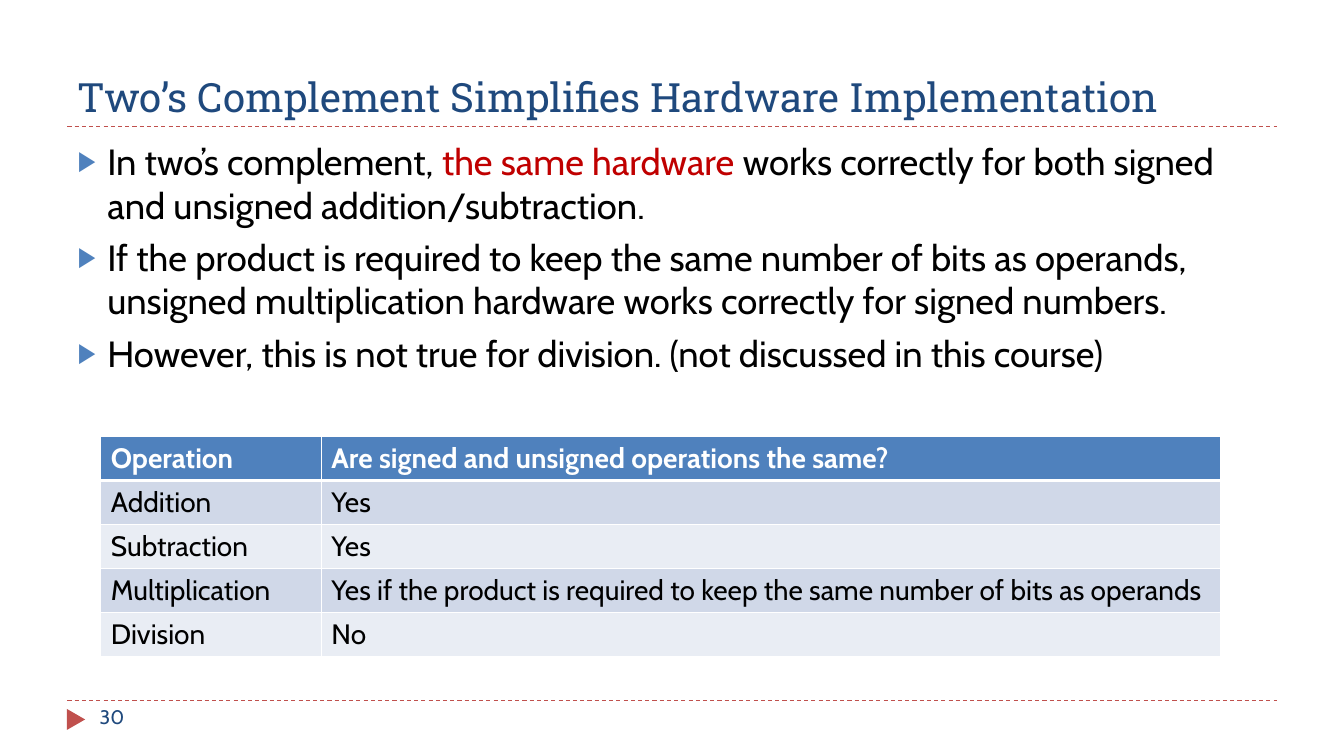
from dataclasses import dataclass

from lxml import etree
from pptx import Presentation
from pptx.dml.color import RGBColor
from pptx.enum import dml, shapes, text
from pptx.oxml import ns
from pptx.util import Cm, Pt


@dataclass(frozen=True)
class Theme:
    heading_font: str = "Roboto Slab"
    body_font: str = "Cabin"
    navy: str = "1F497D"
    blue: str = "4F81BD"
    red: str = "C0504D"
    emphasis: str = "C00000"
    black: str = "000000"
    white: str = "FFFFFF"
    bands: tuple[str, str] = ("D0D8E8", "E9EDF4")
    title_size: float = 28.8
    body_size: float = 26
    table_size: float = 20
    number_size: float = 14


@dataclass(frozen=True)
class Phrase:
    words: str
    color: str


@dataclass(frozen=True)
class Operation:
    name: str
    answer: str


THEME = Theme()
RULE_HEIGHTS = (3.18, 17.65)
POINTS = (
    (
        Phrase("In two’s complement, ", THEME.black),
        Phrase("the same hardware ", THEME.emphasis),
        Phrase("works correctly for both signed and unsigned addition/subtraction.", THEME.black),
    ),
    (Phrase("If the product is required to keep the same number of bits as operands, "
            "unsigned multiplication hardware works correctly for signed numbers.", THEME.black),),
    (Phrase("However, this is not true for division. (not discussed in this course)", THEME.black),),
)
OPERATIONS = (
    Operation("Operation", "Are signed and unsigned operations the same?"),
    Operation("Addition", "Yes"),
    Operation("Subtraction", "Yes"),
    Operation("Multiplication",
              "Yes if the product is required to keep the same number of bits as operands"),
    Operation("Division", "No"),
)


def rgb(color: str) -> RGBColor:
    return RGBColor.from_string(color)


def style(paragraph, family: str, size: float, color: str, bold: bool = False) -> None:
    font = paragraph.font
    font.name, font.size, font.bold = family, Pt(size), bold
    font.color.rgb = rgb(color)


def place(shape, left: float, top: float, width: float, height: float) -> None:
    """Move and size a shape, in centimetres."""
    shape.left, shape.top, shape.width, shape.height = map(Cm, (left, top, width, height))


def add_rule(slide, height: float) -> None:
    rule = slide.shapes.add_connector(
        shapes.MSO_CONNECTOR.STRAIGHT, Cm(1.7), Cm(height), Cm(32.18), Cm(height))
    rule.line.color.rgb = rgb(THEME.red)
    rule.line.width = Pt(0.75)
    rule.line.dash_style = dml.MSO_LINE.DASH
    etree.SubElement(rule._element.spPr, ns.qn("a:effectLst"))


def add_page_number(slide, number: str) -> None:
    marker = slide.shapes.add_shape(
        shapes.MSO_SHAPE.ISOSCELES_TRIANGLE, Cm(1.65), Cm(17.9), Cm(0.53), Cm(0.46))
    marker.rotation = 90
    marker.shadow.inherit = False
    marker.fill.solid()
    marker.fill.fore_color.rgb = rgb(THEME.red)
    marker.line.fill.background()

    page = slide.shapes.add_textbox(Cm(2.26), Cm(17.65), Cm(7.34), Cm(1.02)).text_frame
    page.word_wrap = True
    page.text = number
    style(page.paragraphs[0], THEME.body_font, THEME.number_size, THEME.navy)


def fill_title(title, heading: str) -> None:
    place(title, 1.7, 0.43, 30.48, 2.74)
    frame = title.text_frame
    frame.text = heading
    frame.auto_size = text.MSO_AUTO_SIZE.NONE
    frame.vertical_anchor = text.MSO_ANCHOR.BOTTOM
    frame.paragraphs[0].alignment = text.PP_ALIGN.LEFT
    style(frame.paragraphs[0], THEME.heading_font, THEME.title_size, THEME.navy)


def add_bullet(paragraph) -> None:
    properties = paragraph._p.get_or_add_pPr()
    indent = Cm(0.75)
    properties.set("marL", str(indent))
    properties.set("indent", str(-indent))
    color = etree.SubElement(properties, ns.qn("a:buClr"))
    etree.SubElement(color, ns.qn("a:srgbClr"), val=THEME.blue)
    etree.SubElement(properties, ns.qn("a:buSzPct"), val="76000")
    etree.SubElement(properties, ns.qn("a:buFont"), typeface="Arial")
    etree.SubElement(properties, ns.qn("a:buChar"), char="▶")


def fill_points(body, points: tuple[tuple[Phrase, ...], ...]) -> None:
    place(body, 1.7, 3.38, 30.48, 13.72)
    frame = body.text_frame
    frame.auto_size = text.MSO_AUTO_SIZE.NONE
    for index, phrases in enumerate(points):
        point = frame.add_paragraph() if index else frame.paragraphs[0]
        point.space_before = Pt(6)
        add_bullet(point)
        style(point, THEME.body_font, THEME.body_size, THEME.black)
        for phrase in phrases:
            run = point.add_run()
            run.text = phrase.words
            run.font.color.rgb = rgb(phrase.color)


def add_borders(cell, top: float, bottom: float) -> None:
    """Draw white borders, one point wide at the sides."""
    properties = cell._tc.get_or_add_tcPr()
    for index, (side, width) in enumerate((("L", 1), ("R", 1), ("T", top), ("B", bottom))):
        border = etree.Element(ns.qn(f"a:ln{side}"), w=str(Pt(width)))
        fill = etree.SubElement(border, ns.qn("a:solidFill"))
        etree.SubElement(fill, ns.qn("a:srgbClr"), val=THEME.white)
        properties.insert(index, border)


def add_operations(slide, operations: tuple[Operation, ...]) -> None:
    row_height = Cm(1.11)
    widths = (Cm(5.56), Cm(22.66))
    table = slide.shapes.add_table(
        len(operations), len(widths), Cm(2.54), Cm(11),
        sum(widths), row_height * len(operations)).table
    for column, width in zip(table.columns, widths):
        column.width = width
    for index, operation in enumerate(operations):
        header = index == 0
        table.rows[index].height = row_height
        fill = THEME.blue if header else THEME.bands[(index - 1) % 2]
        for cell, words in zip(table.rows[index].cells, (operation.name, operation.answer)):
            cell.text = words
            cell.fill.solid()
            cell.fill.fore_color.rgb = rgb(fill)
            add_borders(cell, top=3 if index == 1 else 1, bottom=3 if header else 1)
            style(cell.text_frame.paragraphs[0], THEME.body_font, THEME.table_size,
                  THEME.white if header else THEME.black, bold=header)


def main() -> None:
    deck = Presentation()
    deck.slide_width, deck.slide_height = Cm(33.87), Cm(19.05)
    slide = deck.slides.add_slide(deck.slide_layouts.get_by_name("Title and Content"))
    for height in RULE_HEIGHTS:
        add_rule(slide, height)
    add_page_number(slide, "30")
    fill_title(slide.shapes.title, "Two’s Complement Simplifies Hardware Implementation")
    fill_points(slide.placeholders[1], POINTS)
    add_operations(slide, OPERATIONS)
    deck.save("out.pptx")


if __name__ == "__main__":
    main()
